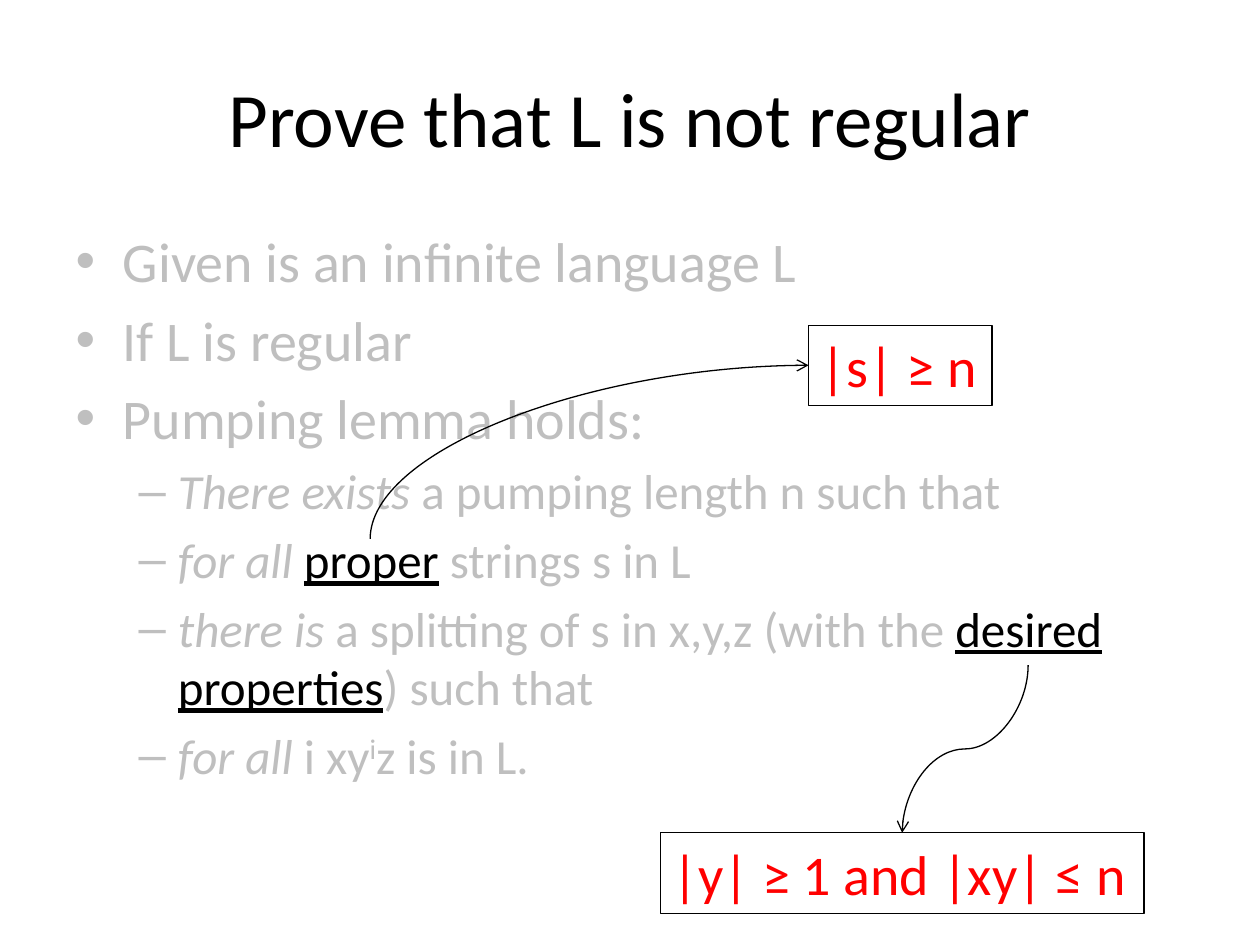
from lxml import etree
from pptx import Presentation
from pptx.dml.color import RGBColor
from pptx.enum import shapes, text
from pptx.oxml import ns
from pptx.util import Pt

FONT = "Calibri"
BLACK, GREY, RED = "000000", "BFBFBF", "FF0000"
POINTS = [
    (0, [("Given is an infinite language L", "")]),
    (0, [("If L is regular", "")]),
    (0, [("Pumping lemma holds:", "")]),
    (1, [("There exists", "italic"), (" a pumping length n such that", "")]),
    (1, [("for all ", "italic"), ("proper", "key"), (" strings s in L", "")]),
    (1, [("there is", "italic"), (" a splitting of s in x,y,z (with the ", ""),
         ("desired properties", "key"), (") such that", "")]),
    (1, [("for all ", "italic"), ("i xy", ""), ("i", "super"), ("z is in L.", "")]),
]


def color(value):
    """Turn a hex string into a colour."""
    return RGBColor.from_string(value)


def style(span, size, value):
    """Set the font, size and colour of a run."""
    span.font.name = FONT
    span.font.size = Pt(size)
    span.font.color.rgb = color(value)


def place(box, left, top, width, height):
    """Move and size a shape, in points."""
    box.left, box.top = Pt(left), Pt(top)
    box.width, box.height = Pt(width), Pt(height)


def fill_title(box, words):
    """Write the slide title."""
    place(box, 36, 21.6, 648, 90)
    box.text_frame.text = words
    style(box.text_frame.paragraphs[0].runs[0], 44, BLACK)


def fill_body(box, points):
    """Write the bulleted list with its emphasised words."""
    place(box, 36, 126, 660, 356.4)
    frame = box.text_frame
    for index, (level, spans) in enumerate(points):
        para = frame.add_paragraph() if index else frame.paragraphs[0]
        para.level = level
        for words, kind in spans:
            span = para.add_run()
            span.text = words
            style(span, 28 if level else 32, BLACK if kind == "key" else GREY)
            if kind == "italic":
                span.font.italic = True
            elif kind == "key":
                span.font.underline = True
            elif kind == "super":
                span.font._element.set("baseline", "30000")


def add_condition(page, words, left, top, width):
    """Add a framed condition in red."""
    box = page.shapes.add_textbox(Pt(left), Pt(top), Pt(width), Pt(46))
    box.line.color.rgb = color(BLACK)
    box.line.width = Pt(0.75)
    frame = box.text_frame
    frame.word_wrap = False
    frame.auto_size = text.MSO_AUTO_SIZE.SHAPE_TO_FIT_TEXT
    frame.text = words
    style(frame.paragraphs[0].runs[0], 32, RED)


def add_curve(page, start, end, preset):
    """Add a curved arrow that leaves its start vertically, by a quarter turn."""
    middle_x, middle_y = (start[0] + end[0]) / 2, (start[1] + end[1]) / 2
    turned = [(middle_x + y - middle_y, middle_y - x + middle_x) for x, y in (start, end)]
    curve = page.shapes.add_connector(
        shapes.MSO_CONNECTOR.CURVE, *[Pt(value) for point in turned for value in point])
    curve.line.color.rgb = color(BLACK)
    curve.line.width = Pt(0.75)
    properties = curve._element.spPr
    properties.find(ns.qn("a:xfrm")).set("rot", "5400000")
    properties.find(ns.qn("a:prstGeom")).set("prst", preset)
    etree.SubElement(properties.find(ns.qn("a:ln")), ns.qn("a:tailEnd"), type="arrow")
    etree.SubElement(properties, ns.qn("a:effectLst"))


def main():
    """Build the slide and save it."""
    deck = Presentation()
    deck.slide_width, deck.slide_height = Pt(720), Pt(540)
    page = deck.slides.add_slide(deck.slide_layouts[1])
    fill_title(page.shapes.title, "Prove that L is not regular")
    fill_body(page.placeholders[1], POINTS)
    add_condition(page, "|y| ≥ 1 and |xy| ≤ n", 377.3, 475.9, 276.5)
    add_condition(page, "|s| ≥ n", 462, 185.8, 105)
    add_curve(page, (211.5, 308), (462, 208.8), "curvedConnector2")
    add_curve(page, (587.5, 380), (515.5, 475.9), "curvedConnector3")
    deck.save("out.pptx")


if __name__ == "__main__":
    main()
